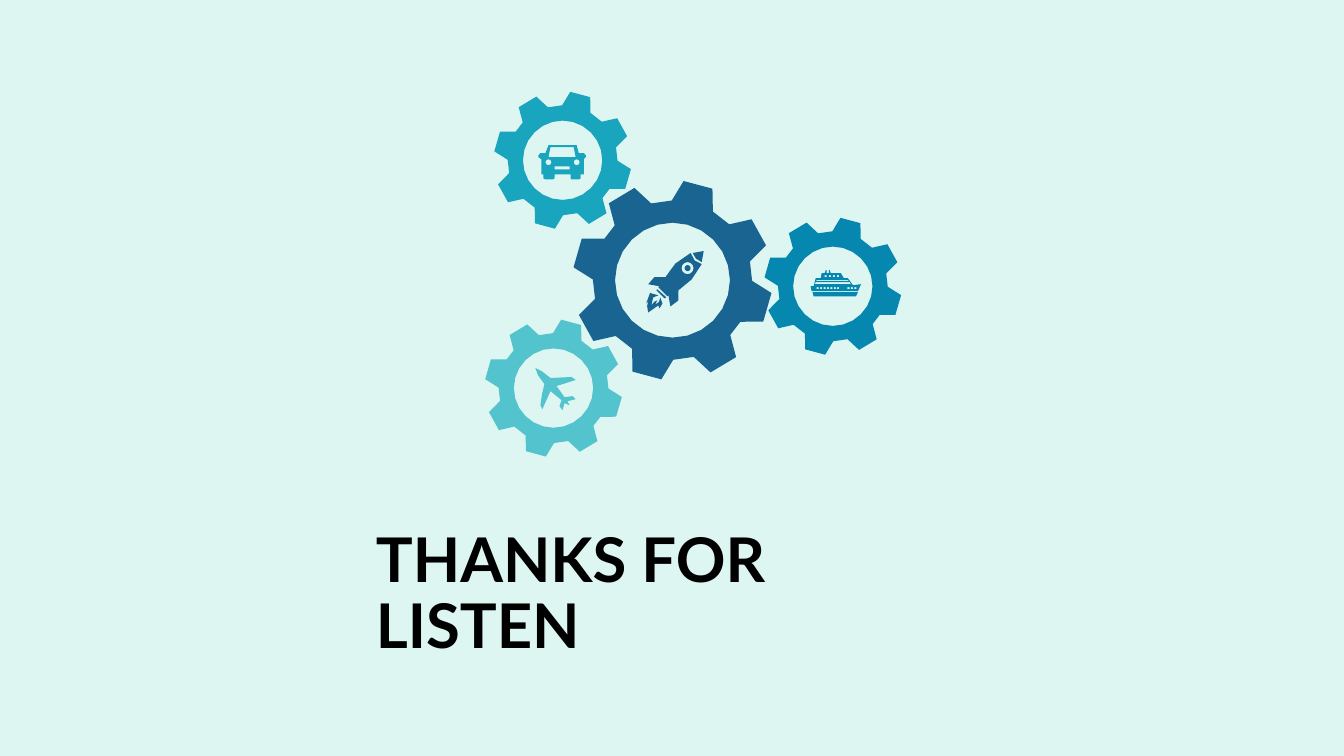
import math

from pptx import Presentation
from pptx.dml.color import RGBColor
from pptx.enum import text
from pptx.util import Inches, Pt

COLORS = {
    "background": "DDF6F2",
    "title": "000000",
    "rocket": "196491",
    "ship": "0587AF",
    "car": "19A5BE",
    "plane": "53C3CD",
}
# centre x, centre y, scale
GEARS = {
    "rocket": (6.67, 2.78, 1),
    "ship": (8.26, 2.84, 0.69),
    "car": (5.58, 1.59, 0.69),
    "plane": (5.49, 3.85, 0.69),
}
HALF_TURN_TEETH = (-75, -29, 16, 59)
# degrees from the middle of the tooth, radius
TOOTH = ((-15.5, 0.79), (-8.6, 0.99), (8.6, 0.99), (15.5, 0.79))
HUB_RADIUS = 0.57
CURVE_STEPS = 2

CAR = """
M 5.46 1.46 L 5.44 1.56 L 5.71 1.56 L 5.69 1.46
M 5.44 1.44 L 5.72 1.44 L 5.74 1.52 L 5.79 1.52 L 5.81 1.54 L 5.81 1.56
L 5.79 1.58 L 5.79 1.73 L 5.76 1.73 L 5.76 1.77 L 5.74 1.78
L 5.67 1.78 L 5.66 1.77 L 5.66 1.73 L 5.5 1.73 L 5.5 1.77 L 5.48 1.78
L 5.41 1.78 L 5.39 1.77 L 5.39 1.73 L 5.37 1.73 L 5.37 1.58
L 5.34 1.56 L 5.34 1.54 L 5.36 1.52 L 5.41 1.52
"""
SHIP = """
M 8.06 2.9 L 8.51 2.9 L 8.49 2.94 L 8.07 2.94
M 8.09 2.8 L 8.08 2.82 L 8.44 2.82 L 8.43 2.8
M 8.1 2.78 L 8.09 2.79 L 8.42 2.79 L 8.41 2.78
M 8.22 2.68 L 8.23 2.68 L 8.24 2.71 L 8.34 2.71 L 8.37 2.76 L 8.41 2.76
L 8.46 2.83 L 8.54 2.82 L 8.51 2.89 L 8.05 2.89
L 8.04 2.84 L 8.07 2.84 L 8.09 2.76 L 8.14 2.76
L 8.15 2.71 L 8.18 2.71 L 8.19 2.68 L 8.2 2.68 L 8.2 2.71 L 8.22 2.71
"""
PLANE = """
M 5.71 3.96 L 5.63 3.98 L 5.65 4.02 L 5.6 4 L 5.58 4.07 L 5.55 4.03
L 5.57 3.97 L 5.46 3.88 L 5.38 4.06 L 5.36 4.02
C 5.37 3.94 5.38 3.88 5.4 3.81 C 5.36 3.77 5.3 3.67 5.31 3.65
C 5.33 3.64 5.42 3.72 5.46 3.75 L 5.67 3.74 L 5.71 3.77 L 5.52 3.83
L 5.6 3.94 L 5.68 3.93
"""
ROCKET = """
M 6.53 2.93 C 6.5 2.92 6.45 2.96 6.46 3.03 C 6.48 2.99 6.5 2.99 6.52 2.98
L 6.5 3.02 C 6.52 2.99 6.56 3.01 6.55 2.95
C 6.6 3.01 6.56 3.02 6.54 3.06 L 6.53 3.03
C 6.5 3.09 6.46 3.04 6.43 3.1 C 6.39 3.05 6.44 3.02 6.43 2.99
L 6.41 3.01 C 6.39 2.88 6.49 2.89 6.53 2.93
M 6.52 2.87 L 6.61 2.95 L 6.59 2.96 L 6.51 2.88
M 6.85 2.51 C 6.86 2.57 6.91 2.61 6.96 2.62 C 6.91 2.74 6.82 2.82 6.73 2.88
L 6.73 2.98 L 6.65 3.04 L 6.63 2.93 L 6.62 2.94 L 6.53 2.85 L 6.54 2.84
L 6.43 2.82 L 6.49 2.75 L 6.6 2.75 C 6.65 2.66 6.73 2.56 6.85 2.51
M 6.98 2.49 L 6.96 2.6 C 6.92 2.59 6.88 2.55 6.87 2.51
"""


def polar(cx, cy, radius, degrees):
    a = math.radians(degrees)
    return cx + radius * math.cos(a), cy + radius * math.sin(a)


def circle(cx, cy, radius, corners):
    return [polar(cx, cy, radius, 360 * i / corners) for i in range(corners)]


def box(x, y, w, h):
    return [(x, y), (x + w, y), (x + w, y + h), (x, y + h)]


def bezier(points, t):
    weights = ((1 - t) ** 3, 3 * t * (1 - t) ** 2, 3 * t * t * (1 - t), t ** 3)
    return tuple(sum(w * p[i] for w, p in zip(weights, points)) for i in (0, 1))


def trace(outline):
    """Turn M, L and C commands into contours, with curves as short steps."""
    contours = []
    tokens = iter(outline.split())
    for command in tokens:
        count = 3 if command == "C" else 1
        points = [(float(next(tokens)), float(next(tokens))) for _ in range(count)]
        if command == "M":
            contours.append(points)
        elif command == "L":
            contours[-1] += points
        else:
            curve = [contours[-1][-1]] + points
            contours[-1] += [bezier(curve, (i + 1) / CURVE_STEPS) for i in range(CURVE_STEPS)]
    return contours


def add_outline(slide, contours, color):
    """Draw contours as one freeform; inner contours become holes."""
    scaled = [[(Inches(x), Inches(y)) for x, y in c] for c in contours]
    builder = slide.shapes.build_freeform(*scaled[0][0], scale=1.0)
    for i, points in enumerate(scaled):
        if i:
            builder.move_to(*points[0])
        builder.add_line_segments(points[1:], close=True)
    sp = builder.convert_to_shape()
    sp.shadow.inherit = False
    sp.fill.solid()
    sp.fill.fore_color.rgb = RGBColor.from_string(color)
    sp.line.fill.background()


def add_gear(slide, cx, cy, scale, color):
    teeth = HALF_TURN_TEETH + tuple(a + 180 for a in HALF_TURN_TEETH)
    rim = [polar(cx, cy, r * scale, a + offset) for a in teeth for offset, r in TOOTH]
    add_outline(slide, [rim, circle(cx, cy, HUB_RADIUS * scale, 24)], color)


def add_title(slide, words):
    sp = slide.shapes.add_textbox(Inches(3.63), Inches(5.2), Inches(6.06), Inches(0.71))
    tf = sp.text_frame
    tf.word_wrap = True
    tf.vertical_anchor = text.MSO_ANCHOR.TOP
    p = tf.paragraphs[0]
    p.line_spacing = 0.9
    p.space_before = Pt(10)
    r = p.add_run()
    r.text = words
    r.font.name = "Lato"
    r.font.size = Pt(44)
    r.font.bold = True
    r.font.color.rgb = RGBColor.from_string(COLORS["title"])


def icons():
    lamps = [circle(x, 1.61, 0.03, 8) for x in (5.44, 5.72)]
    cabin_windows = [box(8.18 + 0.04 * i, 2.73, 0.02, 0.02) for i in range(4)]
    portholes = [box(8.1 + 0.034 * i, 2.85, 0.02, 0.02) for i in (0, 1, 2, 3, 4, 5, 6, 9, 10, 11)]
    rocket_window = [circle(6.82, 2.66, r, 12) for r in (0.03, 0.06)]
    return {
        "car": trace(CAR) + lamps + [box(5.5, 1.65, 0.15, 0.03)],
        "ship": trace(SHIP) + cabin_windows + portholes,
        "plane": trace(PLANE),
        "rocket": trace(ROCKET) + rocket_window,
    }


def main():
    prs = Presentation()
    prs.slide_width, prs.slide_height = Inches(13.33), Inches(7.5)
    slide = prs.slides.add_slide(prs.slide_layouts[6])
    slide.background.fill.solid()
    slide.background.fill.fore_color.rgb = RGBColor.from_string(COLORS["background"])
    add_title(slide, "THANKS FOR LISTEN")
    for name, (cx, cy, scale) in GEARS.items():
        add_gear(slide, cx, cy, scale, COLORS[name])
    for name, contours in icons().items():
        add_outline(slide, contours, COLORS[name])
    prs.save("out.pptx")


if __name__ == "__main__":
    main()
